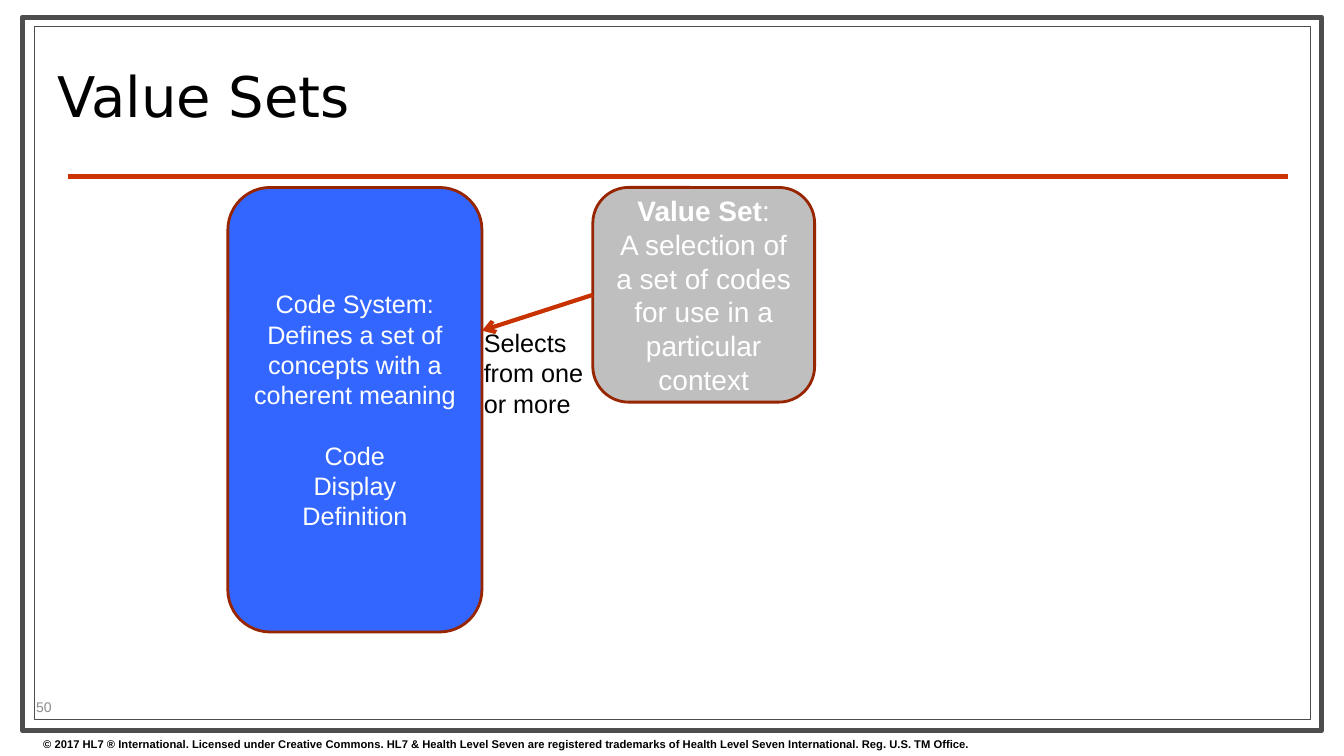
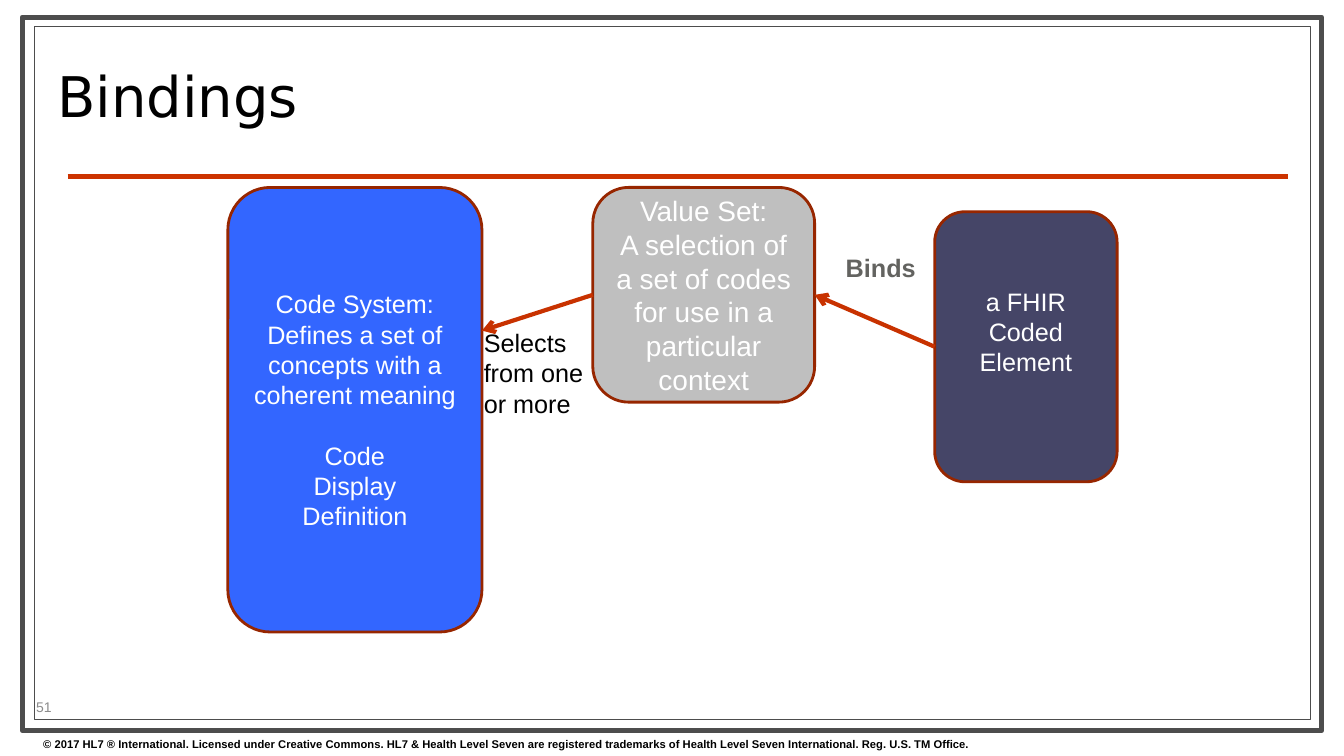
from lxml import etree
from pptx import Presentation
from pptx.dml.color import RGBColor
from pptx.enum.shapes import MSO_CONNECTOR, MSO_SHAPE
from pptx.enum.text import MSO_ANCHOR, MSO_AUTO_SIZE, PP_ALIGN
from pptx.oxml.ns import qn
from pptx.util import Inches, Pt

LEFT, CENTER = PP_ALIGN.LEFT, PP_ALIGN.CENTER
TOP, MIDDLE = MSO_ANCHOR.TOP, MSO_ANCHOR.MIDDLE
RECT, ROUNDED = MSO_SHAPE.RECTANGLE, MSO_SHAPE.ROUNDED_RECTANGLE
STRAIGHT = MSO_CONNECTOR.STRAIGHT
LEFT_SIDE, RIGHT_SIDE = 1, 3

COPYRIGHT = ("© 2017 HL7 ® International. Licensed under Creative Commons. "
             "HL7 & Health Level Seven are registered trademarks of "
             "Health Level Seven International. Reg. U.S. TM Office.")


def rgb(value):
    return RGBColor.from_string(value)


def write(tf, *paragraphs, size=18, color="000000", font="Arial", bold=False,
          align=LEFT, anchor=TOP, spacing=None, gaps=None, wrap=True):
    """Fill tf; a paragraph is a string or a list of (text, bold) runs.

    gaps maps a paragraph's index to its space before, in points.
    """
    tf.auto_size = MSO_AUTO_SIZE.NONE
    tf.word_wrap = wrap
    tf.vertical_anchor = anchor
    for i, runs in enumerate(paragraphs):
        p = tf.paragraphs[0] if i == 0 else tf.add_paragraph()
        p.alignment = align
        if spacing:
            p.line_spacing = spacing
        if gaps and i in gaps:
            p.space_before = Pt(gaps[i])
        for text, strong in [(runs, bold)] if isinstance(runs, str) else runs:
            r = p.add_run()
            r.text = text
            r.font.name, r.font.size, r.font.bold = font, Pt(size), strong
            r.font.color.rgb = rgb(color)


class Deck:
    FRAME, RULE = "4D4D4D", "CC3300"
    OUTLINE, ARROW = "972600", "C83200"
    BLUE, GRAY, NAVY = "3366FF", "BFBFBF", "454567"
    WHITE, LABEL, NUMBER = "FFFFFF", "636360", "8C8C8C"

    def __init__(self):
        self.prs = Presentation()
        self.prs.slide_width, self.prs.slide_height = Inches(13.33), Inches(7.5)
        self.s = None

    def new_slide(self, title, number):
        self.s = self.prs.slides.add_slide(self.prs.slide_layouts[5])
        # Frame and rule
        self.shape(RECT, 0.22, 0.17, 12.89, 7.08, self.FRAME, 3.5)
        self.shape(RECT, 0.34, 0.26, 12.66, 6.88, self.FRAME, 0.75)
        self.line((0.67, 1.75), (12.77, 1.75), self.RULE)
        # Title
        sp = self.s.shapes.title
        sp.left, sp.top = Inches(0.47), Inches(0.36)
        sp.width, sp.height = Inches(9.55), Inches(1.29)
        write(sp.text_frame, title, size=40, font="DejaVu Sans",
              anchor=MIDDLE, spacing=0.8)
        # Footer and slide number
        self.text(0.33, 7.27, 13, 0.23, COPYRIGHT, size=8, bold=True)
        self.text(0.26, 6.89, 1.05, 0.24, str(number), size=10,
                  color=self.NUMBER, anchor=MIDDLE)

    def shape(self, kind, x, y, w, h, line, weight, fill=None):
        sp = self.s.shapes.add_shape(kind, Inches(x), Inches(y), Inches(w), Inches(h))
        sp.shadow.inherit = False
        if fill:
            sp.fill.solid()
            sp.fill.fore_color.rgb = rgb(fill)
        else:
            sp.fill.background()
        sp.line.color.rgb = rgb(line)
        sp.line.width = Pt(weight)
        return sp

    def box(self, x, y, w, h, fill, *paragraphs, **style):
        sp = self.shape(ROUNDED, x, y, w, h, self.OUTLINE, 2, fill)
        write(sp.text_frame, *paragraphs, color=self.WHITE, align=CENTER,
              anchor=MIDDLE, **style)
        return sp

    def text(self, x, y, w, h, *paragraphs, **style):
        sp = self.s.shapes.add_textbox(Inches(x), Inches(y), Inches(w), Inches(h))
        write(sp.text_frame, *paragraphs, **style)

    def line(self, start, end, color):
        points = [Inches(v) for v in (*start, *end)]
        c = self.s.shapes.add_connector(STRAIGHT, *points)
        c.line.color.rgb = rgb(color)
        c.line.width = Pt(3)
        etree.SubElement(c._element.spPr, qn("a:effectLst"))
        return c

    def arrow(self, start, end):
        c = self.line(start, end, self.ARROW)
        etree.SubElement(c.line._get_or_add_ln(), qn("a:tailEnd"), type="arrow")
        return c

    def code_system_and_value_set(self, heading):
        """Draw the part of the diagram both slides share."""
        self.box(2.26, 1.86, 2.52, 4.41, self.BLUE, "Code System:",
                 "Defines a set of concepts with a coherent meaning",
                 "Code", "Display", "Definition", gaps={2: 21.6})
        value_set = self.box(
            5.88, 1.86, 2.2, 2.13, self.GRAY, heading,
            "A selection of a set of codes for use in a particular context",
            size=20)
        selects = self.arrow((5.88, 2.92), (4.78, 3.28))
        selects.begin_connect(value_set, LEFT_SIDE)
        self.text(4.7, 3.2, 1.47, 1.05, "Selects from one or more")
        return value_set


def main():
    deck = Deck()

    # Value sets
    deck.new_slide("Value Sets", 50)
    deck.code_system_and_value_set([("Value Set", True), (":", False)])

    # Bindings
    deck.new_slide("Bindings", 51)
    value_set = deck.code_system_and_value_set("Value Set:")
    element = deck.box(9.27, 2.1, 1.81, 2.68, deck.NAVY, "a FHIR Coded Element")
    element.text_frame.margin_bottom = Inches(0.35)
    binds = deck.arrow((9.27, 3.44), (8.08, 2.92))
    binds.begin_connect(element, LEFT_SIDE)
    binds.end_connect(value_set, RIGHT_SIDE)
    deck.text(8.29, 2.45, 0.9, 0.4, "Binds", color=deck.LABEL, bold=True, wrap=False)

    deck.prs.save("out.pptx")


if __name__ == "__main__":
    main()
